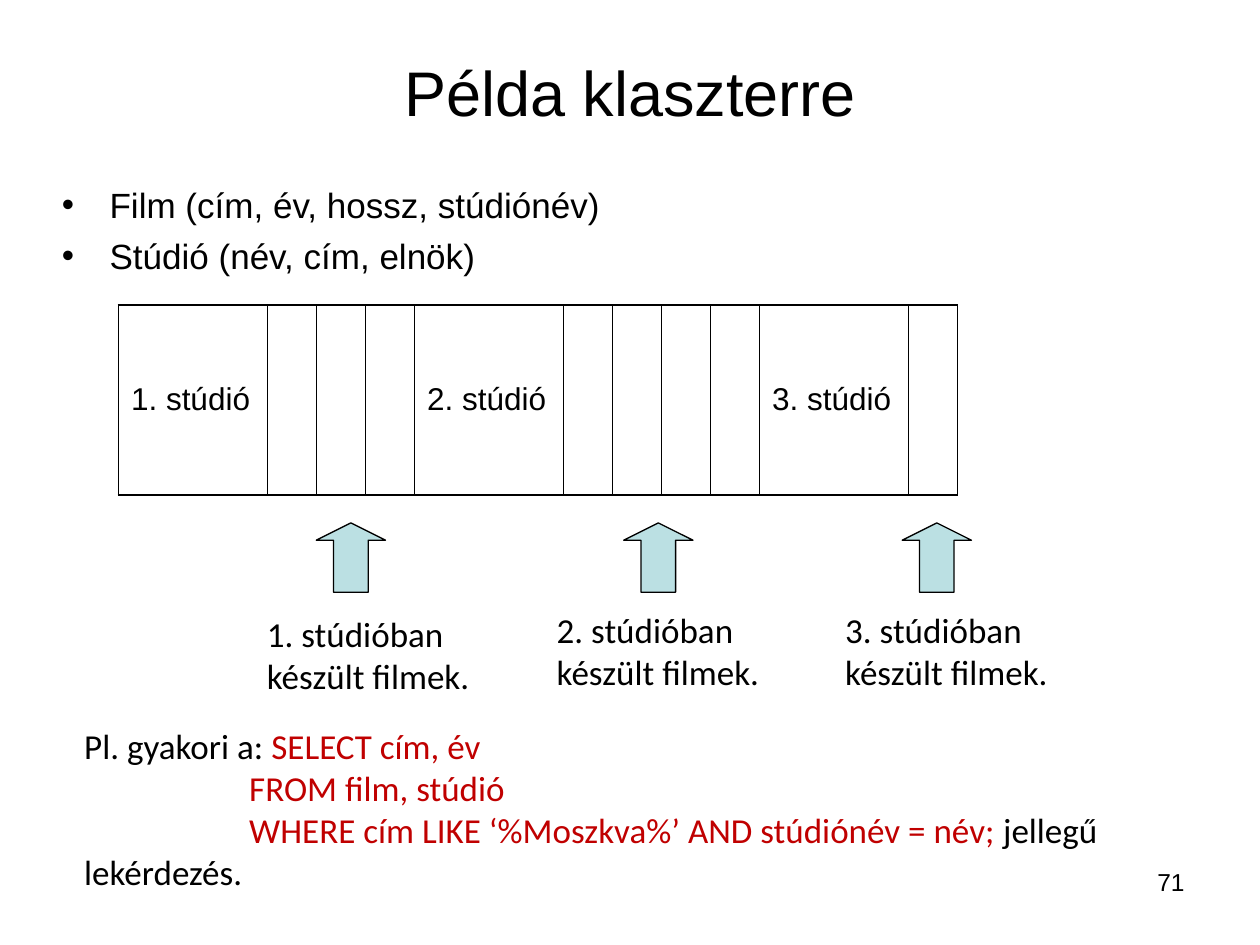
from lxml import etree
from pptx import Presentation
from pptx.dml.color import RGBColor
from pptx.enum import shapes, text
from pptx.oxml import ns
from pptx.util import Inches, Pt

# Content
TITLE = "Példa klaszterre"
RELATIONS = ["Film (cím, év, hossz, stúdiónév)", "Stúdió (név, cím, elnök)"]
CLUSTER = [("1. stúdió", 3), ("2. stúdió", 4), ("3. stúdió", 1)]  # name, films
ARROWS = [2.51, 4.95, 7.16]
NOTES = [(2.02, 4.81), (4.32, 4.78), (6.61, 4.78)]
QUERY = [  # indent, then (text, colour) runs
    (0, [("Pl. gyakori a: ", "ink"), ("SELECT cím, év", "code")]),
    (1.31, [("FROM film, stúdió", "code")]),
    (1.31, [("WHERE cím LIKE ‘%Moszkva%’ AND stúdiónév = név; ", "code"),
            ("jellegű", "ink")]),
    (0, [("lekérdezés.", "ink")]),
]
PAGE = "71"

THEME = {
    "ink": RGBColor(0, 0, 0), "code": RGBColor(0xC0, 0, 0),
    "arrow": RGBColor(0xBB, 0xE0, 0xE3),
    "head": "Arial", "note": "Calibri",
    "title": 36, "body": 20, "cell": 18, "page": 14,
    "thick": 1.08, "thin": 0.45,
}


def style(par, face, size):
    par.font.name, par.font.size = THEME[face], Pt(THEME[size])
    par.font.color.rgb = THEME["ink"]


def place(shape, *box):
    shape.left, shape.top, shape.width, shape.height = map(Inches, box)


def indent(par, left, first=0):
    props = par._p.get_or_add_pPr()
    props.set("marL", str(Inches(left)))
    props.set("indent", str(Inches(first)))
    return props


def add_text(slide, box, lines, face, size):
    frame = slide.shapes.add_textbox(*map(Inches, box)).text_frame
    frame.word_wrap = True
    frame.text = "\n".join(lines)
    for par in frame.paragraphs:
        style(par, face, size)
    return frame


def set_edges(cell, left, right):
    props = cell._tc.get_or_add_tcPr()
    widths = [("lnL", left), ("lnR", right), ("lnT", "thick"), ("lnB", "thick")]
    for pos, (tag, width) in enumerate(widths):
        edge = etree.Element(ns.qn("a:" + tag), w=str(Pt(THEME[width])))
        fill = etree.SubElement(edge, ns.qn("a:solidFill"))
        etree.SubElement(fill, ns.qn("a:srgbClr"), val=str(THEME["ink"]))
        props.insert(pos, edge)


def add_cluster(slide):
    labels = [name for studio, films in CLUSTER for name in [studio] + [""] * films]
    last = len(labels) - 1
    frame = slide.shapes.add_table(
        1, len(labels), *map(Inches, (0.94, 2.42, 6.67, 1.51)))
    grid = frame.table
    grid.first_row = grid.horz_banding = False
    for col, label in enumerate(labels):
        grid.columns[col].width = Inches(1.18 if label else 0.39)
        cell = grid.cell(0, col)
        cell.text = label
        cell.vertical_anchor = text.MSO_ANCHOR.MIDDLE
        style(cell.text_frame.paragraphs[0], "head", "cell")
        cell.fill.background()
        set_edges(cell, "thin" if col else "thick",
                  "thin" if col < last else "thick")


def main():
    deck = Presentation()
    deck.slide_width, deck.slide_height = Inches(10), Inches(7.5)
    slide = deck.slides.add_slide(deck.slide_layouts[1])

    # Title and relations
    title, body = slide.placeholders
    place(title, 0.5, 0.3, 9, 0.85)
    place(body, 0.39, 1.41, 9, 0.9)
    title.text_frame.text = TITLE
    body.text_frame.text = "\n".join(RELATIONS)
    for shape in (title, body):
        shape.text_frame.auto_size = text.MSO_AUTO_SIZE.NONE
    style(title.text_frame.paragraphs[0], "head", "title")
    for num, par in enumerate(body.text_frame.paragraphs):
        props = indent(par, 0.38, -0.38)
        etree.SubElement(props, ns.qn("a:buChar"), char="•")
        par.space_before = Pt(5 if num else 0)
        style(par, "head", "body")

    # Cluster blocks
    add_cluster(slide)

    # Arrows and their notes
    for left in ARROWS:
        arrow = slide.shapes.add_shape(
            shapes.MSO_SHAPE.UP_ARROW, *map(Inches, (left, 4.15, 0.55, 0.55)))
        arrow.adjustments[0], arrow.adjustments[1] = 0.5, 0.25
        arrow.shadow.inherit = False
        arrow.fill.solid()
        arrow.fill.fore_color.rgb = THEME["arrow"]
        arrow.line.color.rgb = THEME["ink"]
        arrow.line.width = Pt(0.75)
    for num, (left, top) in enumerate(NOTES, 1):
        add_text(slide, (left, top, 1.89, 0.77),
                 [f"{num}. stúdióban", "készült filmek."], "note", "body")

    # Sample query
    frame = add_text(slide, (0.57, 5.7, 8.4, 1.44), [""] * len(QUERY),
                     "note", "body")
    for par, (left, runs) in zip(frame.paragraphs, QUERY):
        indent(par, left)
        for words, tone in runs:
            run = par.add_run()
            run.text = words
            run.font.color.rgb = THEME[tone]

    # Page number
    page = add_text(slide, (7.17, 6.83, 2.33, 0.52), [PAGE], "head", "page")
    page.paragraphs[0].alignment = text.PP_ALIGN.RIGHT

    deck.save("out.pptx")


if __name__ == "__main__":
    main()
